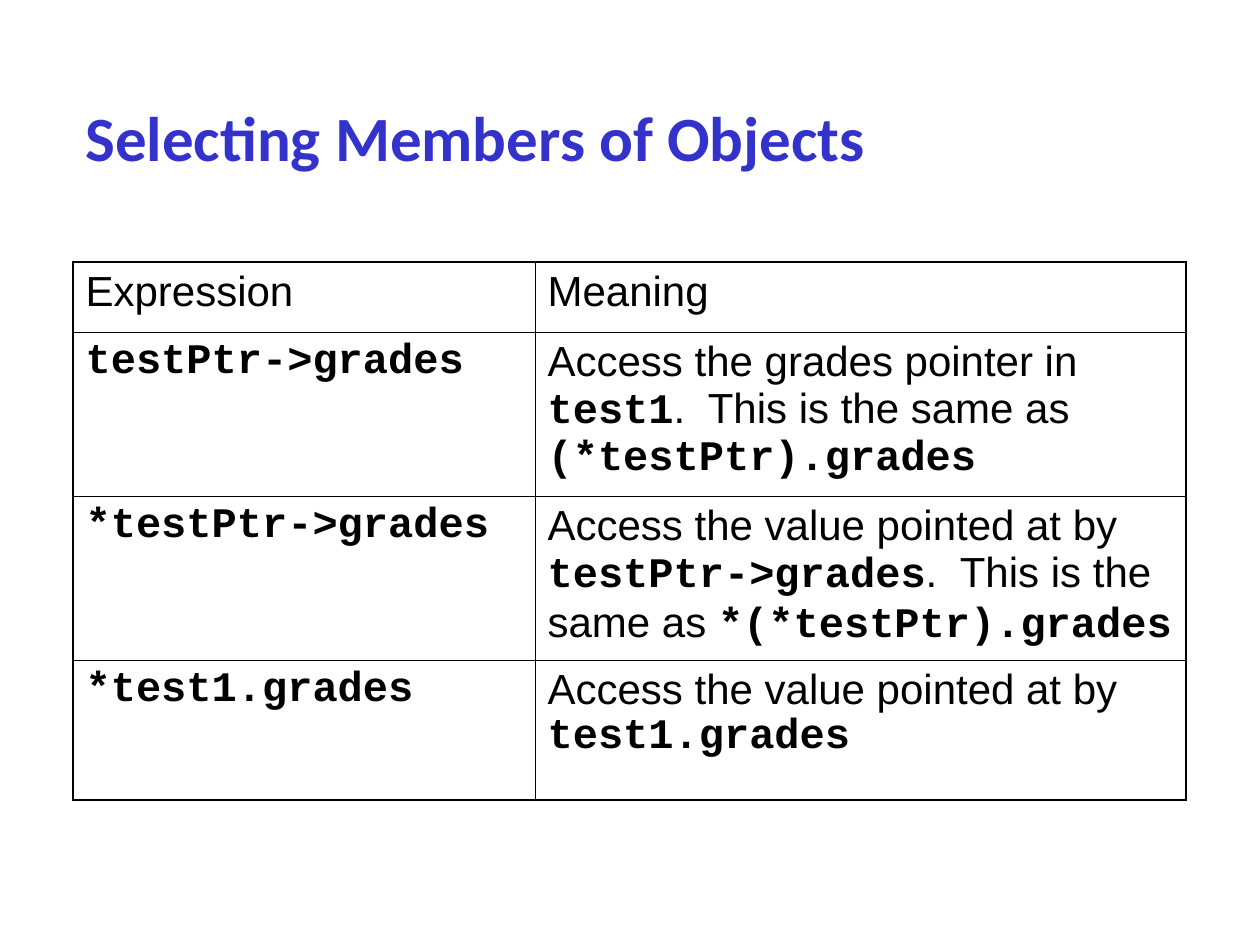
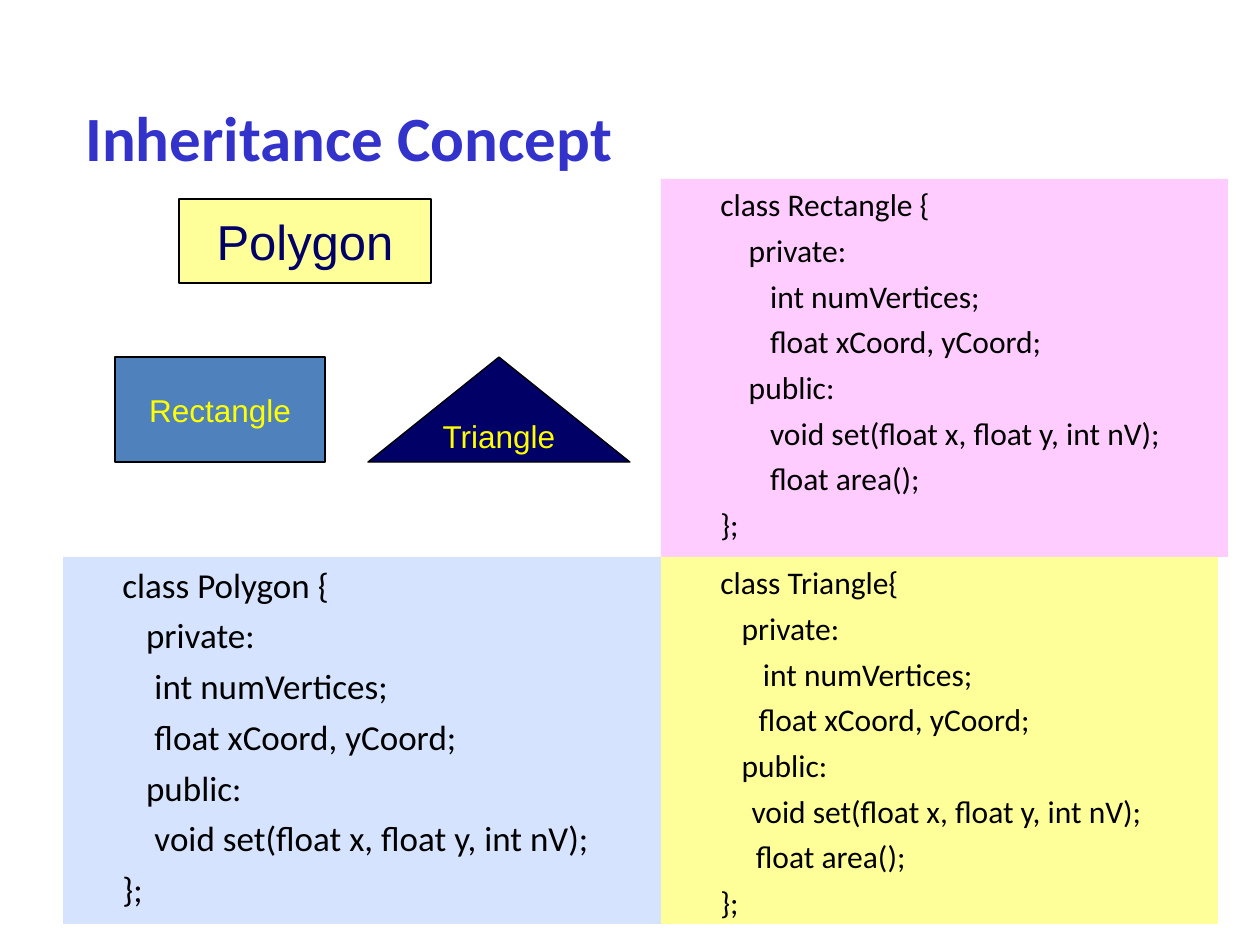
from dataclasses import dataclass

from lxml import etree
from pptx import Presentation
from pptx.dml.color import RGBColor
from pptx.enum import shapes, text
from pptx.oxml.ns import qn
from pptx.util import Emu, Pt

PX = 914400 / 126  # EMU in one px


def px(n):
    return Emu(round(n * PX))


@dataclass(frozen=True)
class Theme:
    # colours
    title: str = "3333CC"
    ink: str = "000000"
    navy: str = "000066"
    blue: str = "4F81BD"
    yellow: str = "FFFF00"
    cream: str = "FFFF99"
    pink: str = "FFCCFF"
    pale_blue: str = "D5E3FF"
    # fonts
    head_font: str = "Calibri"
    body_font: str = "Arial"
    mono_font: str = "Courier New"
    # type sizes and line widths in points
    title_size: int = 36
    big_size: int = 28
    table_size: int = 24
    code_size: int = 20
    label_size: int = 18
    outline: float = 0.75
    outer_border: float = 1.08
    inner_border: float = 0.45


class Deck:
    def __init__(self, theme):
        self.theme = theme
        self.prs = Presentation()
        self.prs.slide_width, self.prs.slide_height = px(1260), px(945)
        self.s = None

    def slide(self):
        self.s = self.prs.slides.add_slide(self.prs.slide_layouts[6])

    def style(self, p, font, size, color, bold=False):
        for r in p.runs:
            f = r.font
            f.name, f.size, f.bold = font, Pt(size), bold
            f.color.rgb = RGBColor.from_string(color)

    def title(self, words, box):
        t = self.theme
        tf = self.s.shapes.add_textbox(*map(px, box)).text_frame
        tf.word_wrap = True
        tf.vertical_anchor = text.MSO_ANCHOR.MIDDLE
        tf.text = words
        self.style(tf.paragraphs[0], t.head_font, t.title_size, t.title, True)

    def shape(self, kind, box, fill, outlined=False):
        sp = self.s.shapes.add_shape(kind, *map(px, box))
        sp.shadow.inherit = False
        sp.fill.solid()
        sp.fill.fore_color.rgb = RGBColor.from_string(fill)
        if outlined:
            sp.line.color.rgb = RGBColor.from_string(self.theme.ink)
            sp.line.width = Pt(self.theme.outline)
        else:
            sp.line.fill.background()
        return sp

    def label(self, kind, box, words, fill, color, size):
        tf = self.shape(kind, box, fill, outlined=True).text_frame
        tf.word_wrap = False
        tf.vertical_anchor = text.MSO_ANCHOR.MIDDLE
        tf.text = words
        p = tf.paragraphs[0]
        p.alignment = text.PP_ALIGN.CENTER
        self.style(p, self.theme.body_font, size, color)

    def code(self, box, lines, fill, size):
        t = self.theme
        tf = self.shape(shapes.MSO_SHAPE.RECTANGLE, box, fill).text_frame
        tf.word_wrap = True
        tf.vertical_anchor = text.MSO_ANCHOR.TOP
        tf.text = "\n".join(lines)
        for i, p in enumerate(tf.paragraphs):
            p.alignment = text.PP_ALIGN.LEFT
            if i:
                p.space_before = Pt(size / 4)
            # Hanging indent: a leading tab moves the line to the margin
            pPr = p._p.get_or_add_pPr()
            pPr.set("marL", str(px(47)))
            pPr.set("indent", str(-px(47)))
            self.style(p, t.head_font, size, t.ink)

    def borders(self, cell, outer_sides):
        tcPr = cell._tc.get_or_add_tcPr()
        for side in "LRTB":
            width = self.theme.outer_border if side in outer_sides else self.theme.inner_border
            ln = etree.SubElement(tcPr, qn("a:ln" + side), w=str(Pt(width)))
            fill = etree.SubElement(ln, qn("a:solidFill"))
            etree.SubElement(fill, qn("a:srgbClr"), val=self.theme.ink)

    def rich_text(self, p, words):
        """Fill a paragraph; parts between backticks are set as code."""
        t = self.theme
        for i, part in enumerate(words.split("`")):
            if part:
                r = p.add_run()
                r.text = part
                r.font.name = t.mono_font if i % 2 else t.body_font
                r.font.bold = bool(i % 2)
                r.font.size = Pt(t.table_size)
                r.font.color.rgb = RGBColor.from_string(t.ink)

    def table(self, left, top, widths, heights, rows):
        box = (left, top, sum(widths), sum(heights))
        tbl = self.s.shapes.add_table(len(rows), len(widths), *map(px, box)).table
        tbl.first_row = tbl.horz_banding = False
        for col, w in zip(tbl.columns, widths):
            col.width = px(w)
        for row, h in zip(tbl.rows, heights):
            row.height = px(h)
        last_row, last_col = len(rows) - 1, len(widths) - 1
        for i, row in enumerate(rows):
            for j, words in enumerate(row):
                cell = tbl.cell(i, j)
                edges = {"L": j == 0, "R": j == last_col, "T": i == 0, "B": i == last_row}
                self.borders(cell, [side for side, outer in edges.items() if outer])
                cell.fill.background()
                self.rich_text(cell.text_frame.paragraphs[0], words)


MEMBER_ROWS = [
    ("Expression", "Meaning"),
    ("`testPtr->grades`",
     "Access the grades pointer in `test1`.  This is the same as `(*testPtr).grades`"),
    ("`*testPtr->grades`",
     "Access the value pointed at by `testPtr->grades`.  This is the same as "
     "`*(*testPtr).grades`"),
    ("`*test1.grades`", "Access the value pointed at by `test1.grades`"),
]

RECTANGLE_CODE = [
    "\tclass Rectangle {",
    "\t    private:",
    "\t       int numVertices;",
    "\t       float xCoord, yCoord;",
    "\t    public:",
    "\t       void set(float x, float y, int nV);",
    "\t       float area();",
    "\t};",
]

POLYGON_CODE = [
    "\tclass Polygon {",
    "\t   private:",
    "          int numVertices;",
    "          float xCoord, yCoord;",
    "\t   public:",
    "          void set(float x, float y, int nV);",
    "\t};",
]

TRIANGLE_CODE = [
    "\tclass Triangle{",
    "\t   private:",
    "\t      int numVertices;",
    "            float xCoord, yCoord;",
    "\t   public:",
    "           void set(float x, float y, int nV);",
    "\t     float area();",
    "\t};",
]


def members_slide(d):
    d.slide()
    d.title("Selecting Members of Objects", (73, 84, 1113, 105))
    d.table(73, 262, (462, 651), (70, 164, 164, 140), MEMBER_ROWS)


def inheritance_slide(d):
    t, kinds = d.theme, shapes.MSO_SHAPE
    d.slide()
    d.code((661, 179, 567, 378), RECTANGLE_CODE, t.pink, t.label_size)
    d.title("Inheritance Concept", (73, 89, 1071, 95))

    # Class shapes
    d.label(kinds.RECTANGLE, (115, 357, 210, 105), "Rectangle", t.blue, t.yellow, t.label_size)
    d.label(kinds.ISOSCELES_TRIANGLE, (368, 357, 262, 105), "Triangle",
            t.navy, t.yellow, t.label_size)
    d.label(kinds.RECTANGLE, (179, 199, 252, 84), "Polygon", t.cream, t.navy, t.big_size)

    # Class definitions along the bottom
    d.code((63, 557, 598, 367), POLYGON_CODE, t.pale_blue, t.code_size)
    d.code((661, 557, 557, 367), TRIANGLE_CODE, t.cream, t.label_size)


def main():
    d = Deck(Theme())
    members_slide(d)
    inheritance_slide(d)
    d.prs.save("out.pptx")


if __name__ == "__main__":
    main()
